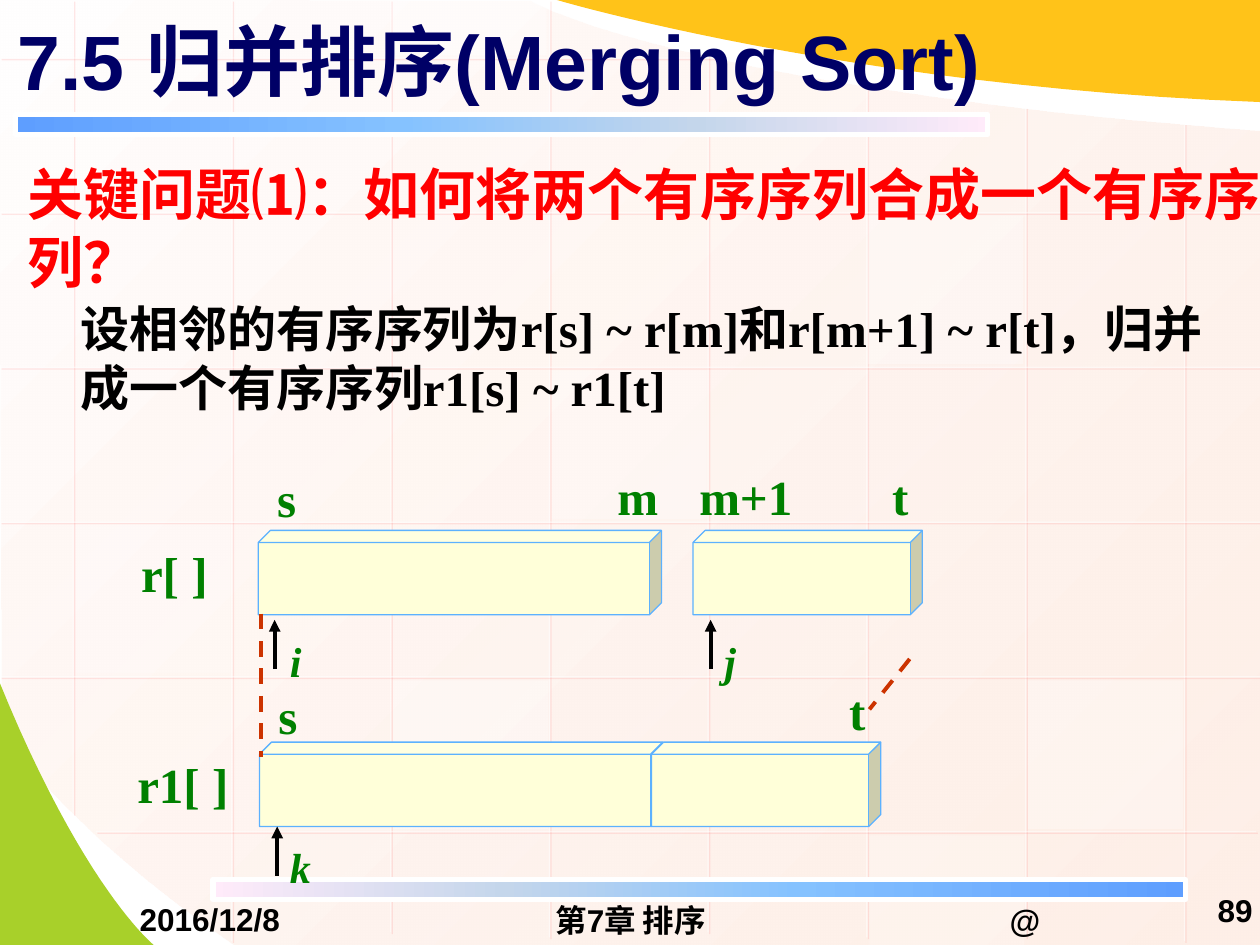
import lxml.etree
import pptx
import pptx.dml.color
import pptx.enum.dml
import pptx.enum.shapes
import pptx.enum.text
import pptx.oxml.ns
import pptx.util

COLS, ROWS = 100, 75
CELL = pptx.util.Inches(0.1)
SANS, SERIF, CJK = "Arial", "Times New Roman", "Noto Sans CJK SC"
SHAPE = pptx.enum.shapes.MSO_SHAPE
ALIGN = pptx.enum.text.PP_ALIGN
ANCHOR = pptx.enum.text.MSO_ANCHOR
BAR = [(0, "5E9EFF"), (40, "85C2FF"), (70, "C4D6EB"), (100, "FFEBFA")]
NAVY, BLACK, GREEN, RED = "000066", "000000", "008000", "FF0000"


def rgb(code):
    return pptx.dml.color.RGBColor.from_string(code)


def emu(*cells):
    return [round(c * CELL) for c in cells]


def add(parent, tag, **attrs):
    """Append an XML child such as a:alpha."""
    child = lxml.etree.SubElement(parent, pptx.oxml.ns.qn(tag))
    for key, value in attrs.items():
        child.set(key, str(value))
    return child


def set_alpha(holder, percent):
    for clr in holder.iter(pptx.oxml.ns.qn("a:srgbClr")):
        add(clr, "a:alpha", val=percent * 1000)


def curve(p0, p1, p2, p3, steps=24):
    """Points along a cubic Bezier, after its start."""
    points = []
    for n in range(1, steps + 1):
        t = n / steps
        weights = ((1 - t) ** 3, 3 * t * (1 - t) ** 2, 3 * t * t * (1 - t), t ** 3)
        points.append(tuple(sum(w * p[axis] for w, p in zip(weights, (p0, p1, p2, p3)))
                            for axis in (0, 1)))
    return points


class Board:
    """Holds the slide, measured in cells of the grid, and its style."""

    def __init__(self, prs):
        self.s = prs.slides.add_slide(prs.slide_layouts[5])
        self.shapes = self.s.shapes

    def paint(self, sp, fill, alpha=None, line=None, width=0.75):
        sp.shadow.inherit = False
        sp.fill.solid()
        sp.fill.fore_color.rgb = rgb(fill)
        if alpha:
            set_alpha(sp.element.spPr, alpha)
        if line:
            sp.line.color.rgb = rgb(line)
            sp.line.width = pptx.util.Pt(width)
        else:
            sp.line.fill.background()
        return sp

    def gradient(self, sp, stops, angle=0):
        """Stops are (percent, colour) or (percent, colour, opacity)."""
        sp.fill.gradient()
        sp.fill.gradient_angle = angle
        gs_list = next(sp.element.iter(pptx.oxml.ns.qn("a:gsLst")))
        for old in list(gs_list):
            gs_list.remove(old)
        for position, colour, *alpha in stops:
            gs = add(gs_list, "a:gs", pos=position * 1000)
            add(gs, "a:srgbClr", val=colour)
            if alpha:
                set_alpha(gs, alpha[0])

    def shape(self, kind, box, fill, **style):
        return self.paint(self.shapes.add_shape(kind, *emu(*box)), fill, **style)

    def bar(self, x, y, stops):
        sp = self.shape(SHAPE.RECTANGLE, (x, y, 77.2, 1.6), "FFFFFF", line="FFFFFF", width=3)
        self.gradient(sp, stops)

    def cube(self, x, y, width):
        sp = self.shape(SHAPE.CUBE, (x, y, width, 6.7), "FFFFD9", line="5CB1FE")
        sp.adjustments[0] = 0.143

    def outline(self, points, fill):
        start, *rest = [tuple(emu(*p)) for p in points]
        builder = self.shapes.build_freeform(*start)
        builder.add_line_segments(rest, close=True)
        return self.paint(builder.convert_to_shape(), fill)

    def line(self, start, end, colour, width=2.25, dashed=False, arrow=False):
        straight = pptx.enum.shapes.MSO_CONNECTOR.STRAIGHT
        c = self.shapes.add_connector(straight, *emu(*start, *end))
        c.line.color.rgb = rgb(colour)
        c.line.width = pptx.util.Pt(width)
        if dashed:
            c.line.dash_style = pptx.enum.dml.MSO_LINE.DASH
        if arrow:
            add(c.element.spPr.find(pptx.oxml.ns.qn("a:ln")), "a:tailEnd", type="triangle")
        return c, add(c.element.spPr, "a:effectLst")

    def grid_line(self, start, end):
        c, effects = self.line(start, end, "FFFFFF", 0.75)
        set_alpha(c.element.spPr, 50)
        shadow = add(effects, "a:outerShdw", dist=pptx.util.Pt(1.4), dir=45 * 60000,
                     algn="ctr", rotWithShape=0)
        add(shadow, "a:srgbClr", val="FF7575")
        set_alpha(shadow, 33)

    def set_text(self, sp, runs, size, colour, align=ALIGN.LEFT, anchor=ANCHOR.TOP,
                 inset=(1, 0.5), wrap=True, italic=False):
        """Runs are (text, font) pairs of one paragraph."""
        tf = sp.text_frame
        tf.word_wrap = wrap
        tf.auto_size = pptx.enum.text.MSO_AUTO_SIZE.NONE
        tf.vertical_anchor = anchor
        tf.margin_left, tf.margin_top = tf.margin_right, tf.margin_bottom = emu(*inset)
        p = tf.paragraphs[0]
        p.alignment = align
        for text, name in runs:
            r = p.add_run()
            r.text = text
            r.font.name, r.font.size = name, pptx.util.Pt(size)
            r.font.bold, r.font.italic = True, italic
            r.font.color.rgb = rgb(colour)
            add(r.font._element, "a:ea", typeface=CJK)

    def title(self, text, box):
        sp = self.shapes.title
        sp.left, sp.top, sp.width, sp.height = emu(*box)
        sp.element.getparent().append(sp.element)
        self.set_text(sp, [(text, SANS)], 44, NAVY, anchor=ANCHOR.MIDDLE)

    def text(self, box, runs, size, colour, **style):
        self.set_text(self.shapes.add_textbox(*emu(*box)), runs, size, colour, **style)

    def footer(self, text, box, align=ALIGN.CENTER):
        self.text(box, [(text, SANS)], 18, BLACK, align=align, anchor=ANCHOR.MIDDLE, inset=(1, 0))

    def label(self, text, x, y, size=28, italic=False):
        self.text((x, y, 2 + 2 * len(text), 4.7), [(text, SERIF)], size, GREEN,
                  inset=(0, 0), wrap=False, italic=italic)

    def pointer(self, name, x, tip, name_x):
        self.line((x, tip + 3.9), (x, tip), BLACK, arrow=True)
        self.label(name, name_x, tip + 1.2, 24, italic=True)


def backdrop(b):
    wash = b.outline([(100.1, 10.4), (100.1, 74.9), (18.7, 75)]
                     + curve((18.7, 75), (5.5, 66), (0.1, 58), (0.2, 58))
                     + [(-0.1, -0.1), (42.1, 0.1)]
                     + curve((42.1, 0.1), (42.1, 0.1), (53.7, 6.9), (100.1, 10.4)), "FFFFFF")
    b.gradient(wash, [(0, "FFFEFE"), (100, "FEE9DE", 70)], angle=315)
    b.outline([(-0.1, 54), (-0.1, 75), (12.2, 75)]
              + curve((12.2, 75), (12.2, 75), (6.6, 70.5), (-0.1, 54)), "A8D02A")
    spans = [(0, 64.6), (0, 74.7), (0, 74), (0, 74.4),
             (4.3, 74), (6.8, 74.4), (8.5, 74.4), (9.8, 74.7)]
    for n, (top, bottom) in enumerate(spans):
        x = 5.8 + 12.6 * n
        b.grid_line((x, top), (x, bottom))
    for n, (right, left) in enumerate([(56.8, 0)] + [(100.1, 0)] * 4 + [(99.7, 7.6)]):
        y = 4.6 + 12.28 * n
        b.grid_line((right, y), (left, y))
    for x, y, height, alpha in [(43.8, 29.4, 11.8, 25), (81.6, 54, 11.8, 30),
                                (6, 41.6, 11.8, 20), (69, 66.3, 8.7, 20), (31.1, 0, 4.4, 40),
                                (31.2, 54, 11.8, 30), (68.9, 17.1, 11.8, 30)]:
        b.shape(SHAPE.RECTANGLE, (x, y, 12.3, height), "FFFFFF", alpha=alpha)
    b.outline([(100, 8.1), (100, 0), (44.2, 0)]
              + curve((44.2, 0), (44.2, 0), (67.4, 6.9), (100, 8.1)), "FFC319")
    b.footer("@", (69.7, 71.5, 23.3, 3))
    b.bar(1.2, 9.1, BAR)
    b.bar(16.9, 69.8, [(100 - position, colour) for position, colour in reversed(BAR)])


def merge_diagram(b):
    for x, y, width in [(20.5, 42.1, 32), (55, 42.1, 18.2),
                        (20.6, 58.9, 32), (51.7, 58.9, 18.2)]:
        b.cube(x, y, width)
    for text, x, y in [("s", 22, 37.2), ("m", 49, 37), ("m+1", 55.5, 37), ("t", 70.8, 37),
                       ("r[ ]", 11.2, 43.1), ("s", 22.1, 54.4), ("t", 67.4, 54.1),
                       ("r1[ ]", 10.9, 59.9)]:
        b.label(text, x, y)
    b.line((20.7, 48.7), (20.7, 60.1), "CC3300", dashed=True)
    b.line((72.2, 52.3), (69, 56.3), "CC3300", dashed=True)
    for name, x, tip, name_x in [("i", 21.8, 49.2, 23), ("j", 56.4, 49.2, 57.5),
                                 ("k", 22, 65.6, 23)]:
        b.pointer(name, x, tip, name_x)


def main():
    prs = pptx.Presentation()
    prs.slide_width, prs.slide_height = COLS * CELL, ROWS * CELL
    b = Board(prs)
    backdrop(b)
    b.title("7.5 归并排序(Merging Sort)", (0.4, -0.3, 90, 10.1))
    b.footer("2016/12/8", (5, 71.4, 23.3, 3))
    b.footer("第7章 排序", (34.2, 71.5, 31.7, 3))
    b.footer("89", (93.8, 69.8, 6.6, 4.9), ALIGN.RIGHT)
    b.text((1.2, 12.2, 100, 11.8),
           [("关键问题⑴：", CJK), ("如何将两个有序序列合成一个有序序列？", SANS)], 32, RED)
    b.text((5.4, 23.2, 91.8, 10.3),
           [("设相邻的有序序列为r[s] ~ r[m]和r[m+1] ~ r[t]，归并成一个有序序列r1[s] ~ r1[t]", SERIF)],
           28, BLACK)
    merge_diagram(b)
    prs.save("out.pptx")


if __name__ == "__main__":
    main()
